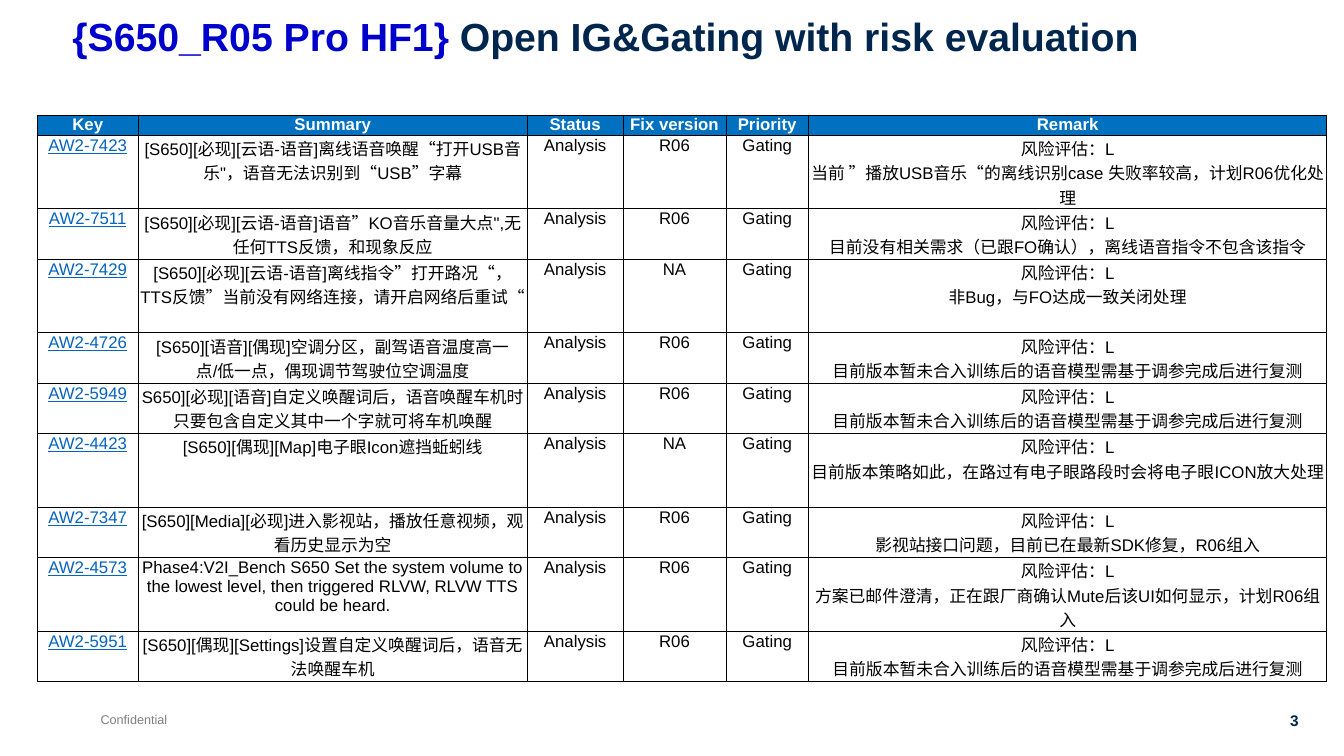
from lxml.etree import SubElement
from pptx import Presentation
from pptx.dml.color import RGBColor
from pptx.enum.text import MSO_AUTO_SIZE, PP_ALIGN
from pptx.oxml.ns import qn
from pptx.util import Inches, Pt

COLORS = {
    "navy": "00264E",
    "blue": "0000CC",
    "header": "0070C0",
    "key": "0563C1",
    "white": "FFFFFF",
    "black": "000000",
    "gray": "808080",
}
HEADINGS = ["Key", "Summary", "Status", "Fix version", "Priority", "Remark"]
COLUMN_WIDTHS = [1, 3.86, 0.95, 1.02, 0.82, 5.14]
HEADER_HEIGHT = 0.19
LINE_COUNT_HEIGHTS = {2: 0.5, 3: 0.73}
ISSUE_LINE_COUNTS = [3, 2, 3, 2, 2, 3, 2, 3, 2]
ROW_HEIGHTS = [HEADER_HEIGHT] + [LINE_COUNT_HEIGHTS[count] for count in ISSUE_LINE_COUNTS]
RISK = "风险评估：L"
RETEST = "目前版本暂未合入训练后的语音模型需基于调参完成后进行复测"
ISSUES = [
    ("AW2-7423", "[S650][必现][云语-语音]离线语音唤醒“打开USB音乐\"，语音无法识别到“USB”字幕",
     "R06", "当前 ”播放USB音乐“的离线识别case 失败率较高，计划R06优化处理"),
    ("AW2-7511", "[S650][必现][云语-语音]语音”KO音乐音量大点\",无任何TTS反馈，和现象反应",
     "R06", "目前没有相关需求（已跟FO确认），离线语音指令不包含该指令"),
    ("AW2-7429", "[S650][必现][云语-语音]离线指令”打开路况“，TTS反馈”当前没有网络连接，请开启网络后重试“",
     "NA", "非Bug，与FO达成一致关闭处理"),
    ("AW2-4726", "[S650][语音][偶现]空调分区，副驾语音温度高一点/低一点，偶现调节驾驶位空调温度",
     "R06", RETEST),
    ("AW2-5949", "S650][必现][语音]自定义唤醒词后，语音唤醒车机时只要包含自定义其中一个字就可将车机唤醒",
     "R06", RETEST),
    ("AW2-4423", "[S650][偶现][Map]电子眼Icon遮挡蚯蚓线",
     "NA", "目前版本策略如此，在路过有电子眼路段时会将电子眼ICON放大处理"),
    ("AW2-7347", "[S650][Media][必现]进入影视站，播放任意视频，观看历史显示为空",
     "R06", "影视站接口问题，目前已在最新SDK修复，R06组入"),
    ("AW2-4573", "Phase4:V2I_Bench S650 Set the system volume to the lowest level, "
     "then triggered RLVW, RLVW TTS could be heard.",
     "R06", "方案已邮件澄清，正在跟厂商确认Mute后该UI如何显示，计划R06组入"),
    ("AW2-5951", "[S650][偶现][Settings]设置自定义唤醒词后，语音无法唤醒车机",
     "R06", RETEST),
]


class PageBuilder:
    def __init__(self, page, font_name="Arial"):
        self.page = page
        self.font_name = font_name

    def span(self, para, text, size, color, bold=False, underline=False):
        run = para.add_run()
        run.text = text
        run.font.name = self.font_name
        run.font.size = Pt(size)
        run.font.bold = bold
        run.font.underline = underline
        run.font.color.rgb = RGBColor.from_string(COLORS[color])

    def text(self, place, spans, size, bold=False, align=PP_ALIGN.LEFT, wrap=False, spacing=None):
        box = self.page.shapes.add_textbox(*map(Inches, place))
        frame = box.text_frame
        frame.word_wrap = wrap
        frame.auto_size = MSO_AUTO_SIZE.NONE if wrap else MSO_AUTO_SIZE.SHAPE_TO_FIT_TEXT
        para = frame.paragraphs[0]
        para.alignment = align
        para.line_spacing = spacing
        for text, color in spans:
            self.span(para, text, size, color, bold)

    def border(self, cell):
        properties = cell._tc.get_or_add_tcPr()
        for index, side in enumerate(("lnL", "lnR", "lnT", "lnB")):
            line = properties.makeelement(qn(f"a:{side}"), {"w": str(Pt(0.5))})
            fill = SubElement(line, qn("a:solidFill"))
            SubElement(fill, qn("a:srgbClr"), val=COLORS["black"])
            properties.insert(index, line)

    def cell(self, cell, lines, color="black", fill=None, underline=False):
        inset = Inches(0 if fill else 0.01)
        cell.margin_left = cell.margin_right = cell.margin_top = inset
        cell.margin_bottom = 0
        if fill:
            cell.fill.solid()
            cell.fill.fore_color.rgb = RGBColor.from_string(COLORS[fill])
        else:
            cell.fill.background()
        self.border(cell)
        frame = cell.text_frame
        for index, line in enumerate(lines):
            para = frame.add_paragraph() if index else frame.paragraphs[0]
            para.alignment = PP_ALIGN.CENTER
            self.span(para, line, 12, color, bool(fill), underline)

    def issue_table(self, left, top):
        frame = self.page.shapes.add_table(
            len(ROW_HEIGHTS), len(COLUMN_WIDTHS), Inches(left), Inches(top),
            Inches(sum(COLUMN_WIDTHS)), Inches(sum(ROW_HEIGHTS)))
        table = frame.table
        table.first_row = table.horz_banding = False
        for column, width in zip(table.columns, COLUMN_WIDTHS):
            column.width = Inches(width)
        for row, height in zip(table.rows, ROW_HEIGHTS):
            row.height = Inches(height)
        for column, heading in enumerate(HEADINGS):
            self.cell(table.cell(0, column), [heading], "white", "header")
        for row, (key, summary, version, remark) in enumerate(ISSUES, 1):
            self.cell(table.cell(row, 0), [key], "key", underline=True)
            details = [[summary], ["Analysis"], [version], ["Gating"], [RISK, remark]]
            for column, lines in enumerate(details, 1):
                self.cell(table.cell(row, column), lines)


def main():
    deck = Presentation()
    deck.slide_width = Inches(13.33)
    deck.slide_height = Inches(7.5)
    builder = PageBuilder(deck.slides.add_slide(deck.slide_layouts[6]))
    builder.text((0.9, 7.01, 0.87, 0.25), [("Confidential", "gray")], 9)
    builder.text((12.59, 7.01, 0.39, 0.29), [("3", "navy")], 11, True, PP_ALIGN.RIGHT)
    builder.text(
        (0.62, 0.13, 11.85, 0.63),
        [("{S650_R05 Pro HF1} ", "blue"), ("Open IG&Gating with risk evaluation", "navy")],
        28, True, wrap=True, spacing=0.9)
    builder.issue_table(0.37, 1.14)
    deck.save("out.pptx")


if __name__ == "__main__":
    main()
